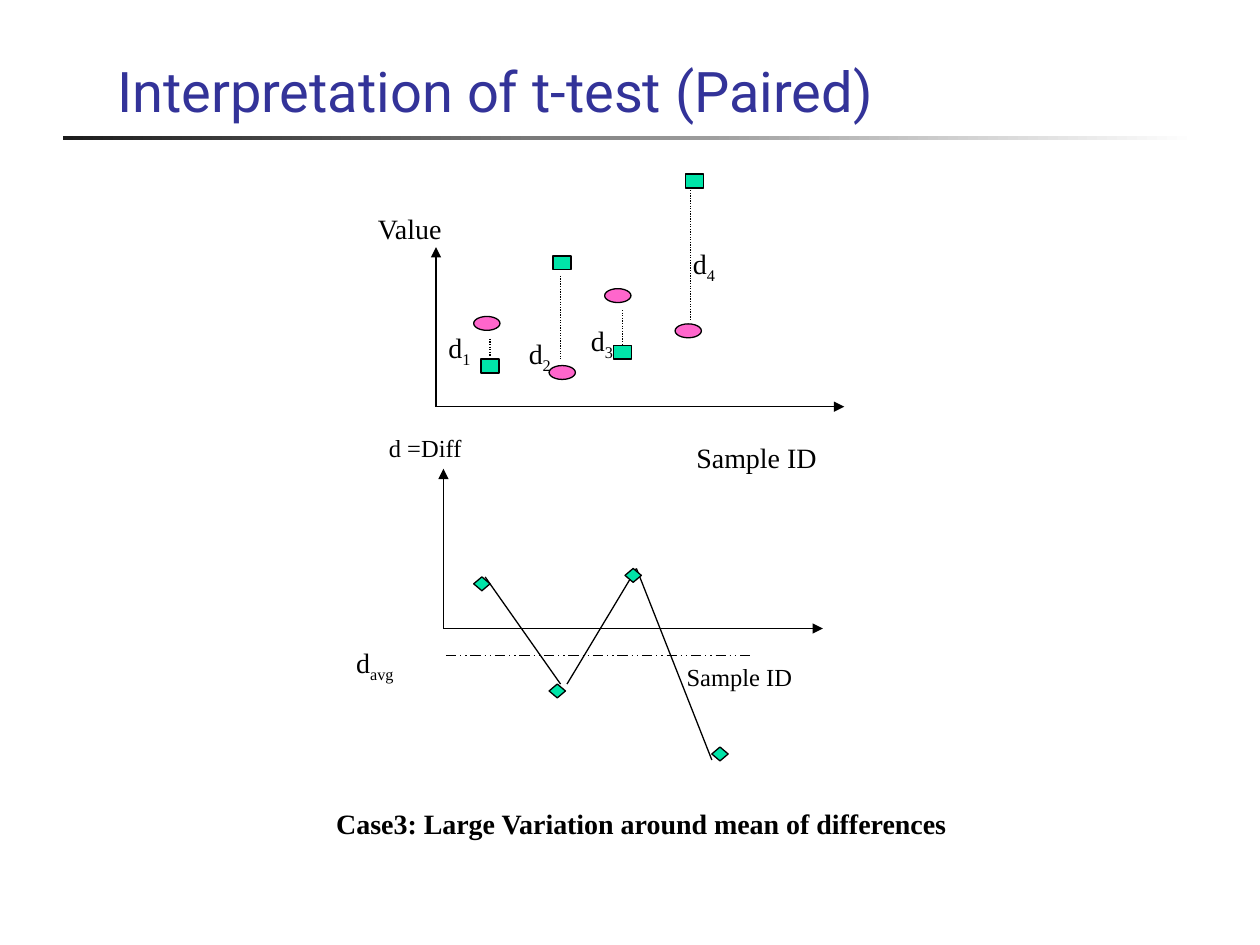
"""Build a slide that explains large variation in a paired t-test."""
from lxml import etree
from pptx import Presentation
from pptx import util as u
from pptx.dml.color import RGBColor
from pptx.enum import dml, shapes, text
from pptx.oxml.ns import qn

COLORS = {"ink": "000000", "title": "333399", "green": "00E4A8",
          "pink": "FF66CC", "rule_dark": "1C1C1C", "rule_light": "FFFFFF"}
SERIF = "Times New Roman"
SHAPE = shapes.MSO_SHAPE
DOTTED = dml.MSO_LINE.ROUND_DOT
LONG_DASH = dml.MSO_LINE.DASH_DOT_DOT

AXES = [
    {"origin": (8.79, 8.2), "top": 4.98, "right": 17.02},
    {"origin": (8.94, 12.67), "top": 9.45, "right": 16.59},
]
MARKERS = [
    {"kind": SHAPE.RECTANGLE, "color": "green", "size": (0.36, 0.28),
     "places": [(9.7, 7.24), (11.15, 5.16), (12.37, 6.96), (13.82, 3.51)]},
    {"kind": SHAPE.OVAL, "color": "pink", "size": (0.53, 0.28),
     "places": [(9.55, 6.38), (11.07, 7.37), (12.19, 5.82), (13.61, 6.53)]},
    {"kind": SHAPE.DIAMOND, "color": "green", "size": (0.33, 0.28),
     "places": [(9.55, 11.63), (11.07, 13.79), (12.6, 11.46), (14.35, 15.06)]},
]
DIFFERENCES = [(9.88, 6.83, 7.19), (11.3, 5.56, 7.24),
               (12.55, 6.25, 6.96), (13.92, 3.78, 6.48)]
TREND = [((9.78, 11.63), (11.3, 13.79)),
         ((11.43, 13.79), (12.83, 11.46)),
         ((12.83, 11.46), (14.35, 15.32))]
AVERAGE = ((8.99, 13.21), (15.16, 13.21))
DIFFERENCE_LABELS = [(8.79, 6.53), (10.41, 6.65), (11.66, 6.4), (13.72, 4.85)]
LABELS = [
    ("Value", (7.37, 4.14, 3.4, 0.94), 16),
    ("Sample ID", (13.79, 8.76, 3.4, 0.94), 16),
    ("d =Diff", (7.59, 8.61, 3.15, 0.86), 14),
    ("Sample ID", (13.59, 13.23, 3.18, 0.86), 14),
]


def rgb(name):
    return RGBColor.from_string(COLORS[name])


def add_line(slide, start, end, dash=None, arrow=False):
    points = [u.Cm(value) for value in (*start, *end)]
    line = slide.shapes.add_connector(shapes.MSO_CONNECTOR.STRAIGHT, *points)
    line.line.color.rgb = rgb("ink")
    line.line.width = u.Pt(0.75)
    if dash:
        line.line.dash_style = dash
    properties = line._element.spPr
    if arrow:
        etree.SubElement(properties.find(qn("a:ln")), qn("a:tailEnd"), type="triangle")
    etree.SubElement(properties, qn("a:effectLst"))


def add_marker(slide, kind, place, size, color):
    marker = slide.shapes.add_shape(kind, *[u.Cm(value) for value in (*place, *size)])
    marker.shadow.inherit = False
    marker.fill.solid()
    marker.fill.fore_color.rgb = rgb(color)
    marker.line.color.rgb = rgb("ink")
    marker.line.width = u.Pt(0.75)


def add_text(slide, words, box, size, subscript="", font=SERIF, color="ink"):
    frame = slide.shapes.add_textbox(*[u.Cm(value) for value in box]).text_frame
    frame.word_wrap = True
    paragraph = frame.paragraphs[0]
    paragraph.add_run().text = words
    if subscript:
        run = paragraph.add_run()
        run.text = subscript
        run._r.get_or_add_rPr().set("baseline", "-25000")
    paragraph.font.name = font
    paragraph.font.size = u.Pt(size)
    paragraph.font.color.rgb = rgb(color)
    return frame


def add_title(slide):
    rule = slide.shapes.add_shape(SHAPE.RECTANGLE, u.Cm(1.27), u.Cm(2.74),
                                  u.Cm(22.86), u.Cm(0.09))
    rule.shadow.inherit = False
    rule.line.fill.background()
    rule.fill.gradient()
    rule.fill.gradient_angle = 180
    for stop, color in zip(rule.fill.gradient_stops, ("rule_light", "rule_dark")):
        stop.color.rgb = rgb(color)
    title = add_text(slide, "Interpretation of t-test (Paired)",
                     (2.11, 0.64, 21.59, 2.34), 32, font="Roboto", color="title")
    title.vertical_anchor = text.MSO_ANCHOR.MIDDLE


def main():
    presentation = Presentation()
    presentation.slide_width, presentation.slide_height = u.Cm(25.4), u.Cm(19.05)
    slide = presentation.slides.add_slide(presentation.slide_layouts[6])
    add_title(slide)
    for axis in AXES:
        left, bottom = axis["origin"]
        for end in ((left, axis["top"]), (axis["right"], bottom)):
            add_line(slide, axis["origin"], end, arrow=True)
    for left, top, bottom in DIFFERENCES:
        add_line(slide, (left, top), (left, bottom), dash=DOTTED)
    for start, end in TREND:
        add_line(slide, start, end)
    add_line(slide, *AVERAGE, dash=LONG_DASH)
    for series in MARKERS:
        for place in series["places"]:
            add_marker(slide, series["kind"], place, series["size"], series["color"])
    for number, place in enumerate(DIFFERENCE_LABELS, 1):
        add_text(slide, "d", (*place, 1.07, 1.04), 16, subscript=str(number))
    for words, box, size in LABELS:
        add_text(slide, words, box, size)
    add_text(slide, "d", (6.93, 12.88, 2.06, 1.04), 16, subscript="avg")
    caption = add_text(slide, "Case3: Large Variation around mean of differences",
                       (6.48, 16.13, 12.9, 0.94), 16).paragraphs[0]
    caption.alignment = text.PP_ALIGN.CENTER
    caption.font.bold = True
    presentation.save("out.pptx")


if __name__ == "__main__":
    main()
